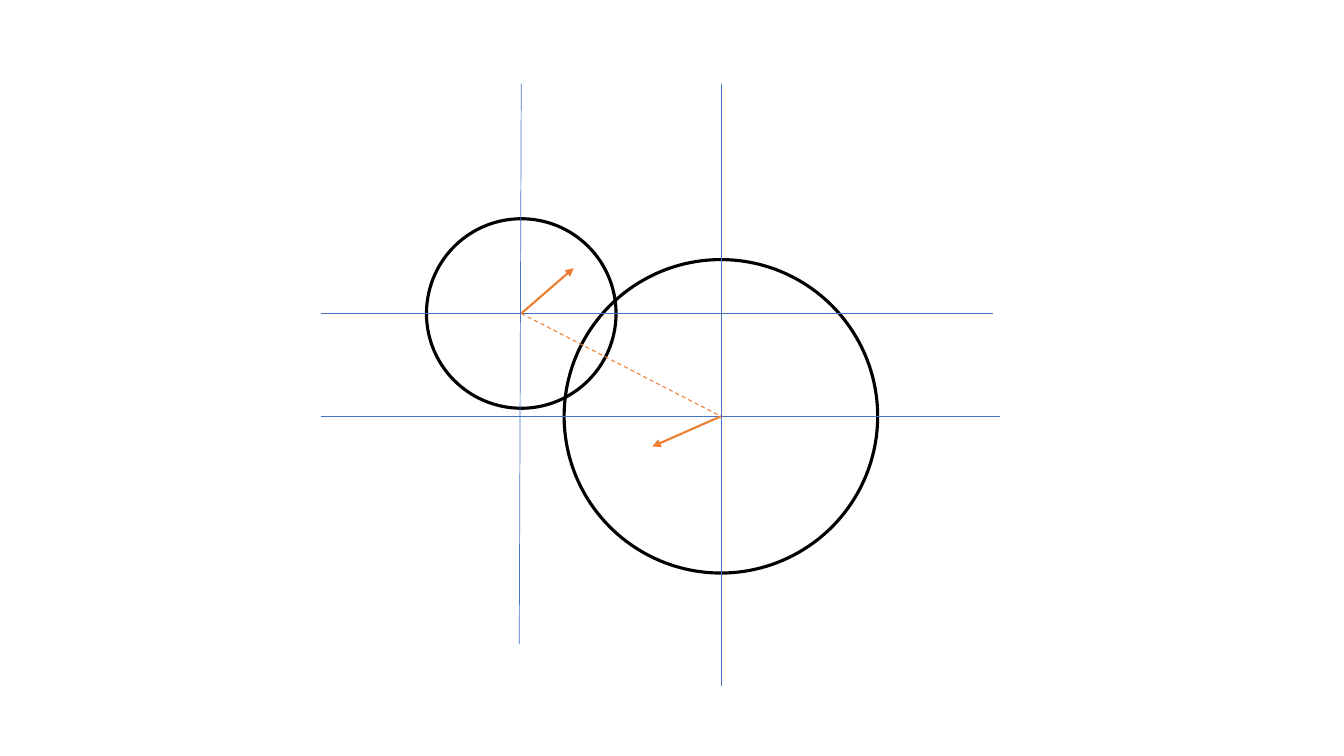
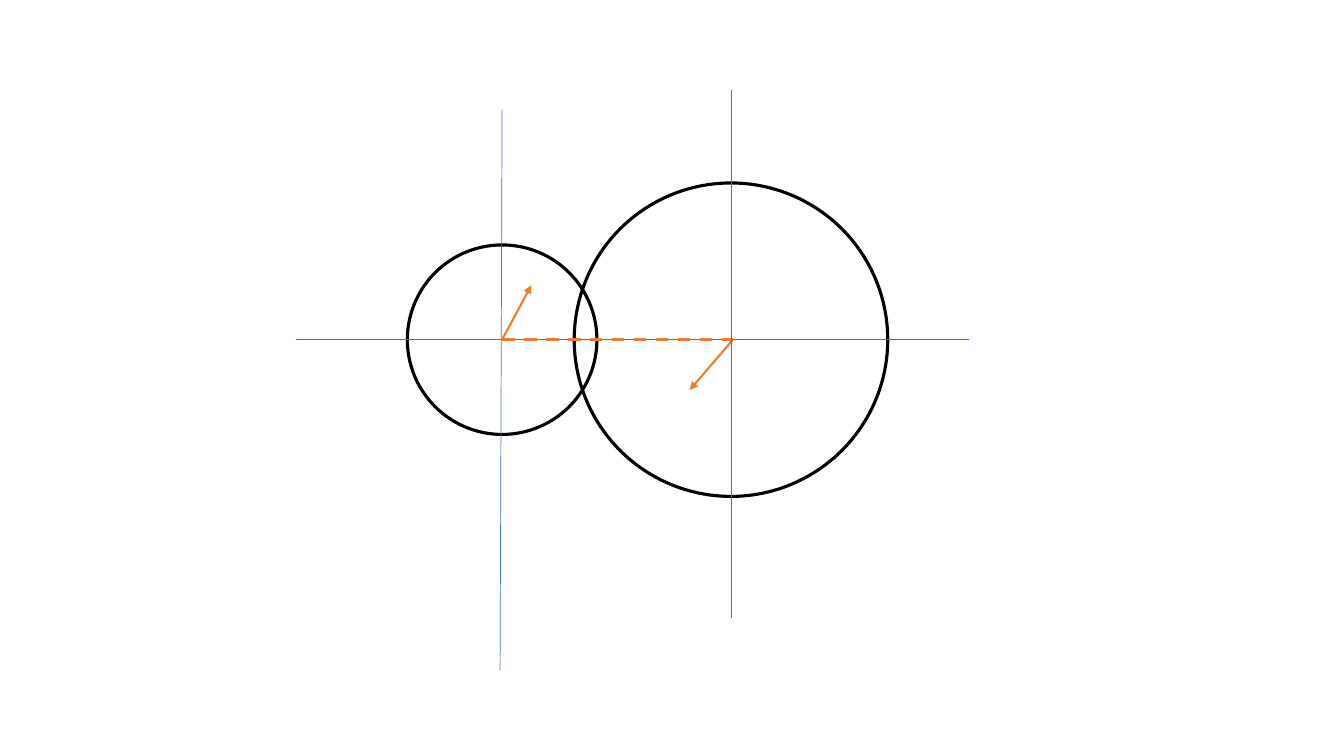
from lxml import etree
from pptx import Presentation
from pptx import util as u
from pptx.dml.color import RGBColor
from pptx.enum import dml, shapes
from pptx.oxml.ns import qn

SLIDE_SIZE = (13.33, 7.5)
SMALL_DIAMETER, LARGE_DIAMETER = 1.88, 3.11
OUTLINE = ("000000", 2.25)
LINE_STYLES = {
    "axis": ("4472C4", 0.5, False, False),
    "velocity": ("ED7D31", 1.5, False, True),
    "thin distance": ("ED7D31", 0.75, True, False),
    "thick distance": ("ED7D31", 2.25, True, False),
}

COLLISIONS = [
    {
        "circles": [((5.17, 3.11), SMALL_DIAMETER), ((7.15, 4.13), LARGE_DIAMETER)],
        "lines": [
            ("axis", (3.18, 3.11), (9.85, 3.11)),
            ("axis", (5.17, 0.83), (5.15, 6.39)),
            ("axis", (3.18, 4.13), (9.92, 4.13)),
            ("axis", (7.15, 0.83), (7.15, 6.81)),
            ("velocity", (5.17, 3.11), (5.69, 2.66)),
            ("velocity", (7.15, 4.13), (6.47, 4.43)),
            ("thin distance", (5.17, 3.11), (7.15, 4.13)),
        ],
    },
    {
        "circles": [((4.98, 3.37), SMALL_DIAMETER), ((7.25, 3.37), LARGE_DIAMETER)],
        "lines": [
            ("axis", (2.94, 3.37), (9.61, 3.37)),
            ("axis", (4.98, 1.09), (4.96, 6.65)),
            ("velocity", (4.98, 3.37), (5.27, 2.83)),
            ("velocity", (7.27, 3.37), (6.84, 3.87)),
            ("thick distance", (4.98, 3.37), (7.27, 3.37)),
            ("axis", (7.25, 0.89), (7.25, 6.13)),
        ],
    },
]


def set_line(line, color, width):
    line.color.rgb = RGBColor.from_string(color)
    line.width = u.Pt(width)


def add_circle(slide, center, diameter):
    left, top = (u.Inches(value - diameter / 2) for value in center)
    size = u.Inches(diameter)
    circle = slide.shapes.add_shape(shapes.MSO_SHAPE.OVAL, left, top, size, size)
    circle.shadow.inherit = False
    circle.fill.background()
    set_line(circle.line, *OUTLINE)


def add_line(slide, style, start, end):
    color, width, dashed, arrow = LINE_STYLES[style]
    connector = slide.shapes.add_connector(
        shapes.MSO_CONNECTOR.STRAIGHT, *(u.Inches(value) for value in start + end)
    )
    set_line(connector.line, color, width)
    if dashed:
        connector.line.dash_style = dml.MSO_LINE.DASH
    properties = connector._element.spPr
    if arrow:
        etree.SubElement(properties.find(qn("a:ln")), qn("a:tailEnd"), type="triangle")
    etree.SubElement(properties, qn("a:effectLst"))


def main():
    presentation = Presentation()
    presentation.slide_width, presentation.slide_height = map(u.Inches, SLIDE_SIZE)
    blank_layout = presentation.slide_layouts[6]
    for collision in COLLISIONS:
        slide = presentation.slides.add_slide(blank_layout)
        for circle in collision["circles"]:
            add_circle(slide, *circle)
        for line in collision["lines"]:
            add_line(slide, *line)
    presentation.save("out.pptx")


if __name__ == "__main__":
    main()
